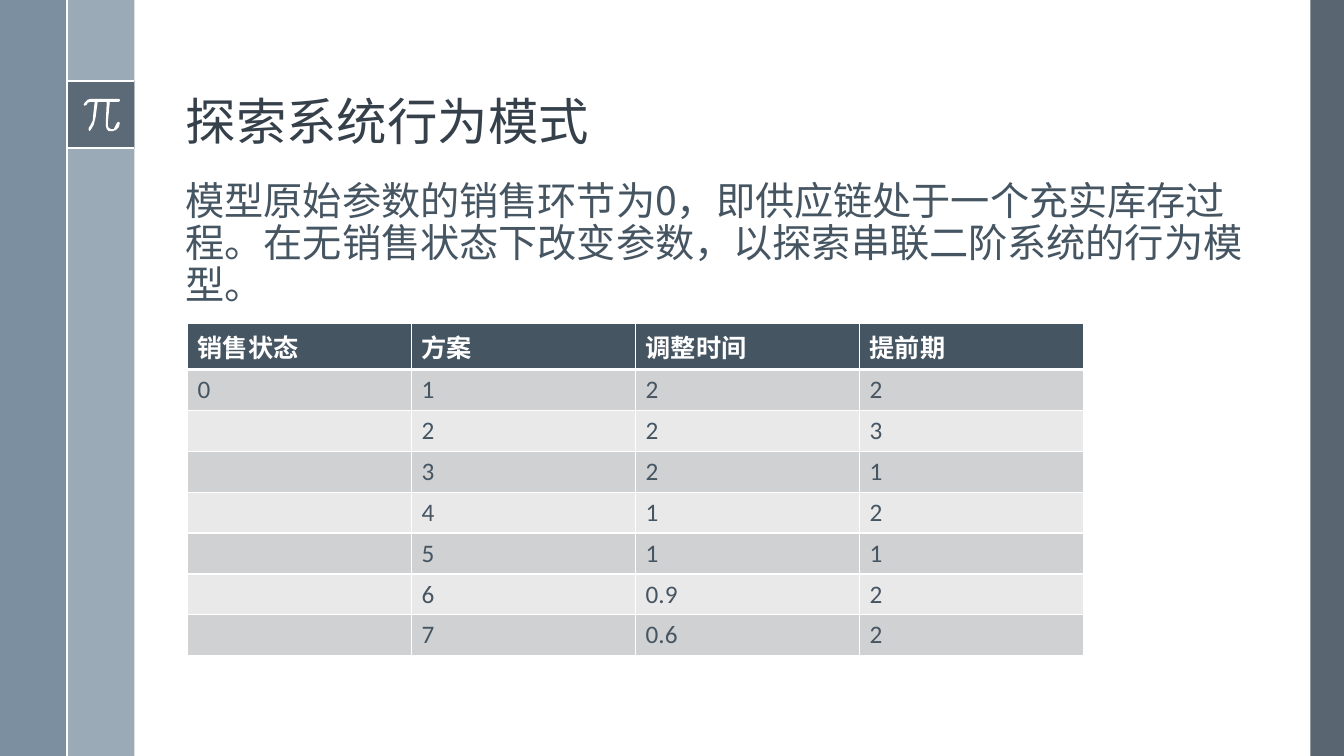
from lxml import etree
from pptx import Presentation
from pptx.dml.color import RGBColor
from pptx.enum.shapes import MSO_CONNECTOR, MSO_SHAPE
from pptx.enum.text import MSO_ANCHOR, MSO_AUTO_SIZE, PP_ALIGN
from pptx.oxml.ns import qn
from pptx.util import Pt

RECT = MSO_SHAPE.RECTANGLE
LINE = MSO_CONNECTOR.STRAIGHT
TOP, BOTTOM = MSO_ANCHOR.TOP, MSO_ANCHOR.BOTTOM
LEFT = PP_ALIGN.LEFT
FIXED = MSO_AUTO_SIZE.NONE

WHITE = RGBColor(0xFF, 0xFF, 0xFF)
INK = RGBColor(0x35, 0x40, 0x4A)
SLATE = RGBColor(0x46, 0x55, 0x62)
DARK = RGBColor(0x47, 0x55, 0x62)
STEEL = RGBColor(0x6A, 0x80, 0x93)
MIST = RGBColor(0x9B, 0xAA, 0xB7)
BANDS = RGBColor(0xCF, 0xD1, 0xD3), RGBColor(0xE9, 0xE9, 0xEA)

HAN = "Noto Sans CJK SC"
LATIN = "Calibri"

TITLE = "探索系统行为模式"
BODY = ("模型原始参数的销售环节为0，即供应链处于一个充实库存过程。"
        "在无销售状态下改变参数，以探索串联二阶系统的行为模型。")
ROWS = [
    ("销售状态", "方案", "调整时间", "提前期"),
    ("0", "1", "2", "2"),
    ("", "2", "2", "3"),
    ("", "3", "2", "1"),
    ("", "4", "1", "2"),
    ("", "5", "1", "1"),
    ("", "6", "0.9", "2"),
    ("", "7", "0.6", "2"),
]

# Outline of the pi sign, in hundredths of an inch
PI = [
    (118, 98), (90, 98), (87, 99), (84.5, 101.5), (83, 104), (83.5, 105),
    (84.5, 105.2), (85.5, 104.5), (87, 102), (90, 101), (94, 101),
    (93.3, 110), (91.5, 120), (90, 124.5), (88, 127), (87.5, 128),
    (88, 129), (89, 129.5), (90, 129), (93, 124), (95, 116), (96.2, 108),
    (97, 101), (106, 101), (105, 122), (105, 125), (106, 128), (108, 129.7),
    (110, 130), (112, 130), (115, 129), (117.5, 126), (119, 122),
    (118, 121), (117, 121), (116, 122), (114.5, 125.5), (113, 127.5),
    (111, 128), (109.5, 128), (108, 127), (107.2, 125), (107, 122),
    (109, 101), (118, 101), (119, 100), (119, 99),
]


class Page:
    def __init__(self, slide):
        self.shapes = slide.shapes

    def paint(self, shape, color, alpha=100):
        shape.shadow.inherit = False
        shape.fill.solid()
        shape.fill.fore_color.rgb = color
        shape.line.fill.background()
        if alpha < 100:
            tint = shape._element.spPr.find(".//" + qn("a:srgbClr"))
            etree.SubElement(tint, qn("a:alpha"), val=str(alpha * 1000))

    def bar(self, x, y, w, h, color, alpha=100):
        shape = self.shapes.add_shape(RECT, Pt(x), Pt(y), Pt(w), Pt(h))
        self.paint(shape, color, alpha)

    def line(self, x1, y1, x2, y2):
        line = self.shapes.add_connector(LINE, Pt(x1), Pt(y1), Pt(x2), Pt(y2))
        line.line.color.rgb = WHITE
        line.line.width = Pt(1.5)
        etree.SubElement(line._element.spPr, qn("a:effectLst"))

    def sign(self, spots):
        pen = self.shapes.build_freeform(*spots[0], scale=Pt(0.72))
        pen.add_line_segments(spots[1:], close=True)
        self.paint(pen.convert_to_shape(), WHITE)

    def style(self, para, size, color, face, bold=False):
        for run in para.runs:
            font = run.font
            font.size, font.bold, font.name = Pt(size), bold, face
            font.color.rgb = color
            etree.SubElement(run._r.get_or_add_rPr(), qn("a:ea"), typeface=HAN)

    def fit(self, box, x, y, w, h, text, size, color, anchor):
        """Place a text shape, then fill and format it."""
        box.left, box.top, box.width, box.height = Pt(x), Pt(y), Pt(w), Pt(h)
        frame = box.text_frame
        frame.text = text
        frame.word_wrap = True
        frame.auto_size = FIXED
        frame.vertical_anchor = anchor
        para = frame.paragraphs[0]
        para.alignment = LEFT
        para.line_spacing = 0.9
        self.style(para, size, color, HAN)

    def title(self, x, y, w, h, text):
        self.fit(self.shapes.title, x, y, w, h, text, 36, INK, BOTTOM)

    def body(self, x, y, w, h, text):
        box = self.shapes.add_textbox(0, 0, 0, 0)
        self.fit(box, x, y, w, h, text, 28, SLATE, TOP)

    def edge(self, cell, row):
        """Draw white cell borders, thick below the header row."""
        wide = {"lnL": 1, "lnR": 1, "lnT": 3 if row == 1 else 1,
                "lnB": 3 if row == 0 else 1}
        props = cell._tc.get_or_add_tcPr()
        for i, (side, width) in enumerate(wide.items()):
            line = etree.Element(qn("a:" + side), w=str(Pt(width)))
            fill = etree.SubElement(line, qn("a:solidFill"))
            etree.SubElement(fill, qn("a:srgbClr"), val=str(WHITE))
            props.insert(i, line)

    def table(self, x, y, w, h, rows):
        grid = self.shapes.add_table(len(rows), len(rows[0]),
                                     Pt(x), Pt(y), Pt(w), Pt(h)).table
        for r, row in enumerate(rows):
            head = r == 0
            for c, text in enumerate(row):
                cell = grid.cell(r, c)
                cell.text = text
                cell.fill.solid()
                cell.fill.fore_color.rgb = SLATE if head else BANDS[(r - 1) % 2]
                self.edge(cell, r)
                self.style(cell.text_frame.paragraphs[0], 18,
                           WHITE if head else SLATE, LATIN, head)


def main():
    deck = Presentation()
    deck.slide_width, deck.slide_height = Pt(960), Pt(540)
    page = Page(deck.slides.add_slide(deck.slide_layouts[5]))

    page.bar(936, 0, 24, 540, DARK, 90)
    page.bar(48, 0, 48, 540, MIST)
    page.bar(0, 0, 48, 540, STEEL, 88)
    page.bar(48, 58, 48, 48, DARK, 75)
    for y in (58, 106):
        page.line(48, y, 96, y)
    page.sign(PI)
    page.line(48, 0, 48, 540)

    page.title(125.5, 13.5, 770, 98, TITLE)
    page.body(125.5, 126, 770, 98.5, BODY)
    page.table(134, 230.7, 640, 233.28, ROWS)
    deck.save("out.pptx")


if __name__ == "__main__":
    main()
